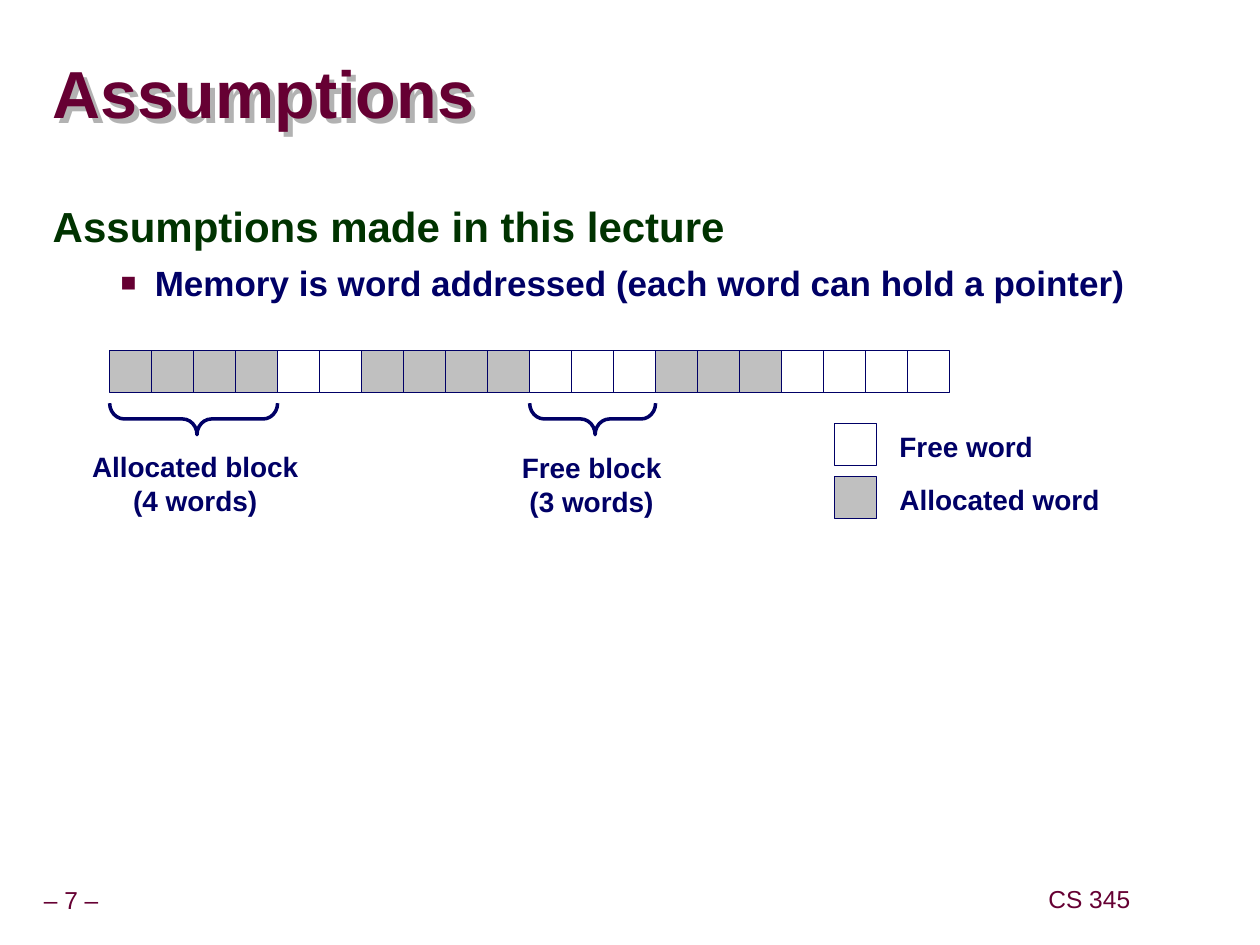
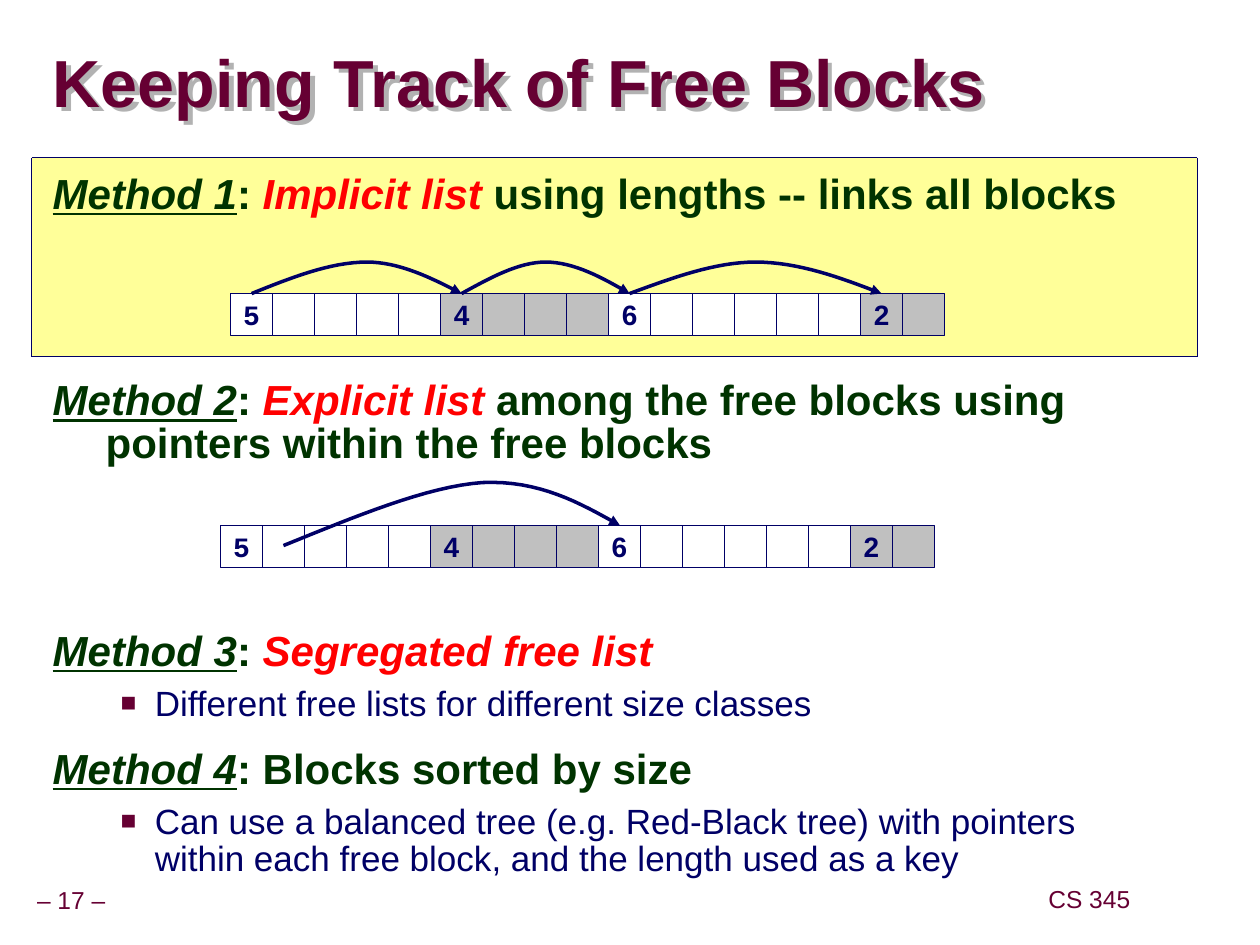
from lxml import etree
from pptx import Presentation
from pptx.dml.color import RGBColor
from pptx.enum.dml import MSO_LINE
from pptx.enum.shapes import MSO_SHAPE
from pptx.enum.text import MSO_ANCHOR, PP_ALIGN
from pptx.oxml.ns import qn
from pptx.util import Inches, Pt

RECTANGLE, BRACE = MSO_SHAPE.RECTANGLE, MSO_SHAPE.RIGHT_BRACE
DOTTED = MSO_LINE.ROUND_DOT
LEFT, CENTER = PP_ALIGN.LEFT, PP_ALIGN.CENTER
TOP, MIDDLE = MSO_ANCHOR.TOP, MSO_ANCHOR.MIDDLE

COLORS = {
    "maroon": "660033", "green": "003300", "navy": "000066", "red": "FF0000",
    "free": "FFFFFF", "allocated": "C0C0C0", "highlight": "FFFF99",
    "shadow": "B2B2B2",
}
FONT = "Arial"
WORD = 1 / 3                # side of one memory word, in inches
BODY_LEFT, BODY_WIDTH = 0.32, 9.09
CURVE_STEPS = 16


def rgb(name):
    return RGBColor.from_string(COLORS[name])


def add_element(parent, tag, **attributes):
    return etree.SubElement(parent, qn(tag), attributes)


# Text
def add_run(paragraph, text, size, color, bold=False, emphasis="", font=FONT):
    """Emphasis holds i for italic and u for underline."""
    run = paragraph.add_run()
    run.text = text
    run.font.name, run.font.size, run.font.bold = font, Pt(size), bold
    run.font.italic, run.font.underline = "i" in emphasis, "u" in emphasis
    run.font.color.rgb = rgb(color)


def set_frame(frame, insets=(0.1, 0.05), anchor=TOP, wrap=False):
    frame.margin_left = frame.margin_right = Inches(insets[0])
    frame.margin_top = frame.margin_bottom = Inches(insets[1])
    frame.vertical_anchor, frame.word_wrap = anchor, wrap


def add_text_box(slide, box, **frame_options):
    shape = slide.shapes.add_textbox(*map(Inches, box))
    set_frame(shape.text_frame, **frame_options)
    return shape


def next_paragraph(frame):
    first = frame.paragraphs[0]
    return frame.add_paragraph() if first.runs else first


def add_label(slide, box, lines, align=LEFT):
    frame = add_text_box(slide, box).text_frame
    for line in lines:
        paragraph = next_paragraph(frame)
        paragraph.alignment = align
        add_run(paragraph, line, 16, "navy", bold=True)


def set_indent(paragraph, margin, first_line):
    properties = paragraph._p.get_or_add_pPr()
    properties.set("marL", str(Inches(margin)))
    properties.set("indent", str(Inches(first_line)))
    return properties


def add_heading(frame, runs, spacing):
    """Runs are (text, color, emphasis)."""
    paragraph = next_paragraph(frame)
    paragraph.line_spacing, paragraph.space_before = spacing, Pt(15)
    set_indent(paragraph, 0.42, -0.42)
    for text, color, emphasis in runs:
        add_run(paragraph, text, 24, color, True, emphasis)


def add_bullet(frame, text, spacing, bold=False):
    paragraph = next_paragraph(frame)
    paragraph.line_spacing, paragraph.space_before = spacing, Pt(6.2)
    properties = set_indent(paragraph, 0.81, -0.27)
    color = add_element(properties, "a:buClr")
    add_element(color, "a:srgbClr", val=COLORS["maroon"])
    add_element(properties, "a:buSzPct", val="75000")
    add_element(properties, "a:buFont", typeface=FONT)
    add_element(properties, "a:buChar", char="■")
    add_run(paragraph, text, 20, "navy", bold)


def add_method(frame, number, name="", rest=""):
    runs = [(f"Method {number}", "green", "iu"), (": " if name else ": " + rest, "green", "")]
    if name:
        runs.append((name, "red", "i"))
        if rest:
            runs.append((rest, "green", ""))
    add_heading(frame, runs, 0.85)


def add_body(slide, top, height):
    return add_text_box(slide, (BODY_LEFT, top, BODY_WIDTH, height), wrap=True).text_frame


# Shared slide parts
def add_title(slide, text, top, width):
    shape = add_text_box(slide, (0.42, top, width, 0.63), insets=(0, 0),
                         anchor=MIDDLE, wrap=True)
    paragraph = shape.text_frame.paragraphs[0]
    paragraph.line_spacing = 0.87
    add_run(paragraph, text, 38, "maroon", bold=True)
    effects = add_element(shape._element.spPr, "a:effectLst")
    shadow = add_element(effects, "a:outerShdw", dist=str(Inches(0.055)),
                         dir="2700000", algn="ctr", rotWithShape="0")
    add_element(shadow, "a:srgbClr", val=COLORS["shadow"])


def add_footer(slide, page):
    for text, box in ((f"– {page} –", (-0.09, 7, 1.31, 0.31)),
                      ("CS 345", (8.2, 6.99, 0.89, 0.31))):
        frame = add_text_box(slide, box, insets=(0.05, 0.05), anchor=MIDDLE).text_frame
        paragraph = frame.paragraphs[0]
        paragraph.alignment, paragraph.line_spacing = CENTER, 0.9
        add_run(paragraph, text, 14, "maroon")


def add_slide(presentation, page):
    slide = presentation.slides.add_slide(presentation.slide_layouts[6])
    add_footer(slide, page)
    return slide


# Memory diagrams
def add_rectangle(slide, box, fill):
    shape = slide.shapes.add_shape(RECTANGLE, *map(Inches, box))
    shape.shadow.inherit = False
    shape.fill.solid()
    shape.fill.fore_color.rgb = rgb(fill)
    shape.line.color.rgb, shape.line.width = rgb("navy"), Pt(0.25)
    return shape


def add_word(slide, left, top, state, text="", font=FONT):
    shape = add_rectangle(slide, (left, top, WORD, WORD), state)
    if text:
        set_frame(shape.text_frame, anchor=MIDDLE)
        paragraph = shape.text_frame.paragraphs[0]
        paragraph.alignment = CENTER
        add_run(paragraph, text, 16, "navy", bold=True, font=font)


def add_memory(slide, left, top, blocks, show_lengths=False):
    """Blocks are (length, state); the first word may show the length."""
    column = 0
    for length, state in blocks:
        for offset in range(length):
            text = str(length) if show_lengths and offset == 0 else ""
            font = FONT if column else "Courier New"
            add_word(slide, left + column * WORD, top, state, text, font)
            column += 1


def add_brace(slide, left, top, words):
    length, depth = words * WORD, 0.25
    box = (left + (length - depth) / 2, top - (length - depth) / 2, depth, length)
    shape = slide.shapes.add_shape(BRACE, *map(Inches, box))
    shape.rotation = 90
    shape.adjustments[0], shape.adjustments[1] = 0.46, 0.48
    shape.shadow.inherit = False
    shape.fill.background()
    shape.line.color.rgb, shape.line.width = rgb("navy"), Pt(2)


def bezier_points(corners):
    for step in range(1, CURVE_STEPS + 1):
        t = step / CURVE_STEPS
        weights = ((1 - t) ** 3, 3 * t * (1 - t) ** 2, 3 * t * t * (1 - t), t ** 3)
        yield tuple(Inches(sum(w * corner[axis] for w, corner in zip(weights, corners)))
                    for axis in (0, 1))


def add_curved_arrow(slide, corners):
    """Corners are the seven control points of two joined Bezier curves."""
    builder = slide.shapes.build_freeform(*map(Inches, corners[0]))
    points = [*bezier_points(corners[:4]), *bezier_points(corners[3:])]
    builder.add_line_segments(points, close=False)
    shape = builder.convert_to_shape()
    shape.shadow.inherit = False
    shape.fill.background()
    shape.line.color.rgb, shape.line.width = rgb("navy"), Pt(2)
    add_element(shape.line._get_or_add_ln(), "a:tailEnd", type="triangle")


def add_hop(slide, left, top, first, last, peak=0.5):
    """Arc over a row, from the middle of one word to the middle of another."""
    start, width = left + (first + 0.5) * WORD, (last - first) * WORD
    fall = 1 - peak
    profile = ((0, 0), (peak * 0.34, 0.5), (peak * 0.68, 1), (peak, 1),
               (peak + fall * 0.34, 1), (peak + fall * 0.68, 0.5), (1, 0))
    add_curved_arrow(slide, [(start + x * width, top - y * 0.25) for x, y in profile])


# Slides
def build_assumptions(presentation):
    slide = add_slide(presentation, 7)
    add_title(slide, "Assumptions", 0.46, 6.24)
    body = add_body(slide, 1.34, 5.71)
    add_heading(body, [("Assumptions made in this lecture", "green", "")], 1.5)
    add_bullet(body, "Memory is word addressed (each word can hold a pointer)", 1.0, bold=True)

    left, top = 0.87, 2.78
    add_memory(slide, left, top, [(4, "allocated"), (2, "free"), (4, "allocated"),
                                  (3, "free"), (3, "allocated"), (4, "free")])
    add_brace(slide, left, 3.2, 4)
    add_brace(slide, left + 10 * WORD, 3.2, 3)
    add_label(slide, (0.63, 3.52, 1.84, 0.64), ("Allocated block", "(4 words)"), CENTER)
    add_label(slide, (4.04, 3.53, 1.31, 0.64), ("Free block", "(3 words)"), CENTER)

    # Legend
    for state, text, row_top, width in (("free", "Free word", 3.36, 1.26),
                                        ("allocated", "Allocated word", 3.78, 1.79)):
        add_word(slide, 6.62, row_top, state)
        add_label(slide, (7.04, row_top, width, 0.37), (text,))


def build_free_blocks(presentation):
    slide = add_slide(presentation, 17)
    highlight = add_rectangle(slide, (0.25, 1.25, 9.25, 1.58), "highlight")
    highlight.line.dash_style = DOTTED
    add_title(slide, "Keeping Track of Free Blocks", 0.37, 8)

    add_method(add_body(slide, 1.34, 0.5), 1, "Implicit list",
               " using lengths -- links all blocks")
    add_method(add_body(slide, 2.98, 0.8), 2, "Explicit list",
               " among the free blocks using pointers within the free blocks")
    body = add_body(slide, 4.97, 2.08)
    add_method(body, 3, "Segregated free list")
    add_bullet(body, "Different free lists for different size classes", 0.9)
    add_method(body, 4, rest="Blocks sorted by size")
    add_bullet(body, "Can use a balanced tree (e.g. Red-Black tree) with pointers "
                     "within each free block, and the length used as a key", 0.9)

    blocks = [(5, "free"), (4, "allocated"), (6, "free"), (2, "allocated")]
    implicit, explicit = (1.83, 2.33), (1.75, 4.17)
    for left, top in (implicit, explicit):
        add_memory(slide, left, top, blocks, show_lengths=True)
    add_curved_arrow(slide, [(2.25, 4.33), (2.82, 4.1), (3.39, 3.86), (3.83, 3.83),
                             (4.28, 3.81), (4.6, 3.99), (4.92, 4.17)])
    for first, last, peak in ((0, 5, 0.55), (5, 9, 0.5), (9, 15, 0.5)):
        add_hop(slide, *implicit, first, last, peak)


def main():
    presentation = Presentation()
    presentation.slide_width, presentation.slide_height = Inches(10), Inches(7.5)
    build_assumptions(presentation)
    build_free_blocks(presentation)
    presentation.save("out.pptx")


if __name__ == "__main__":
    main()
